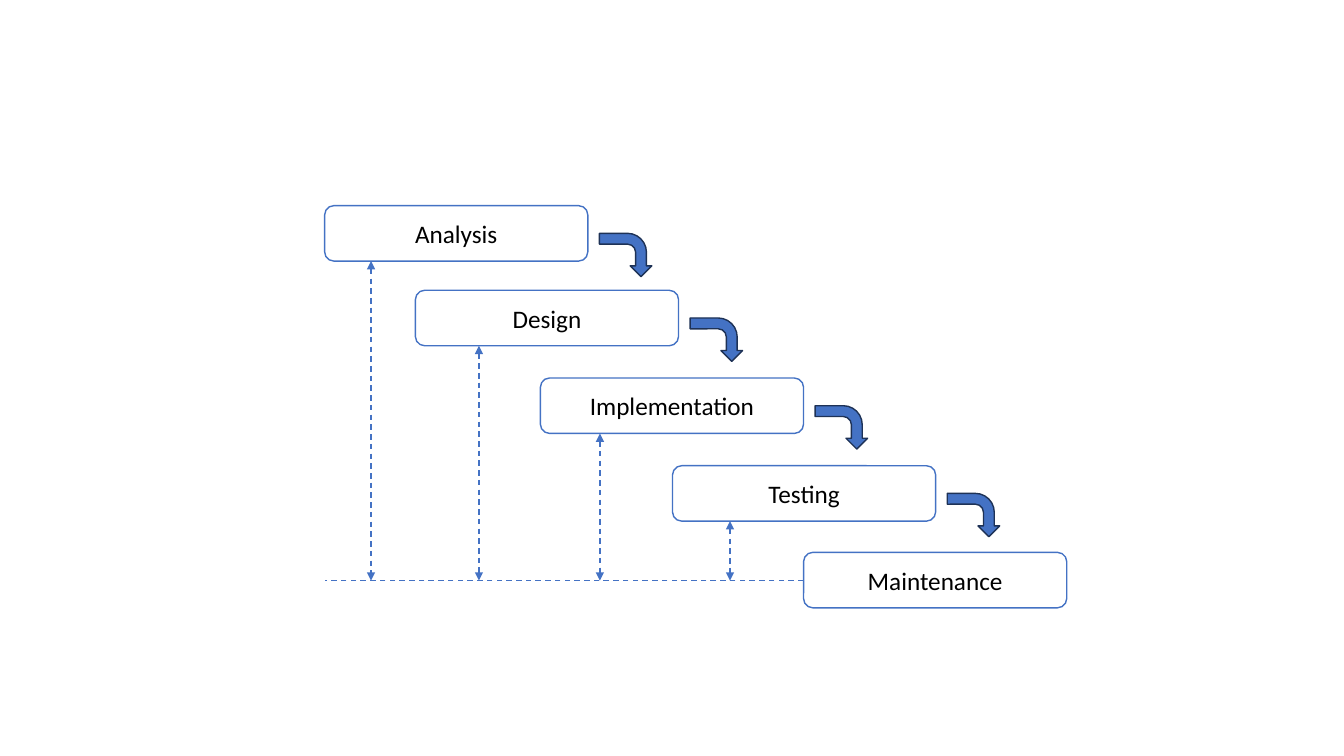
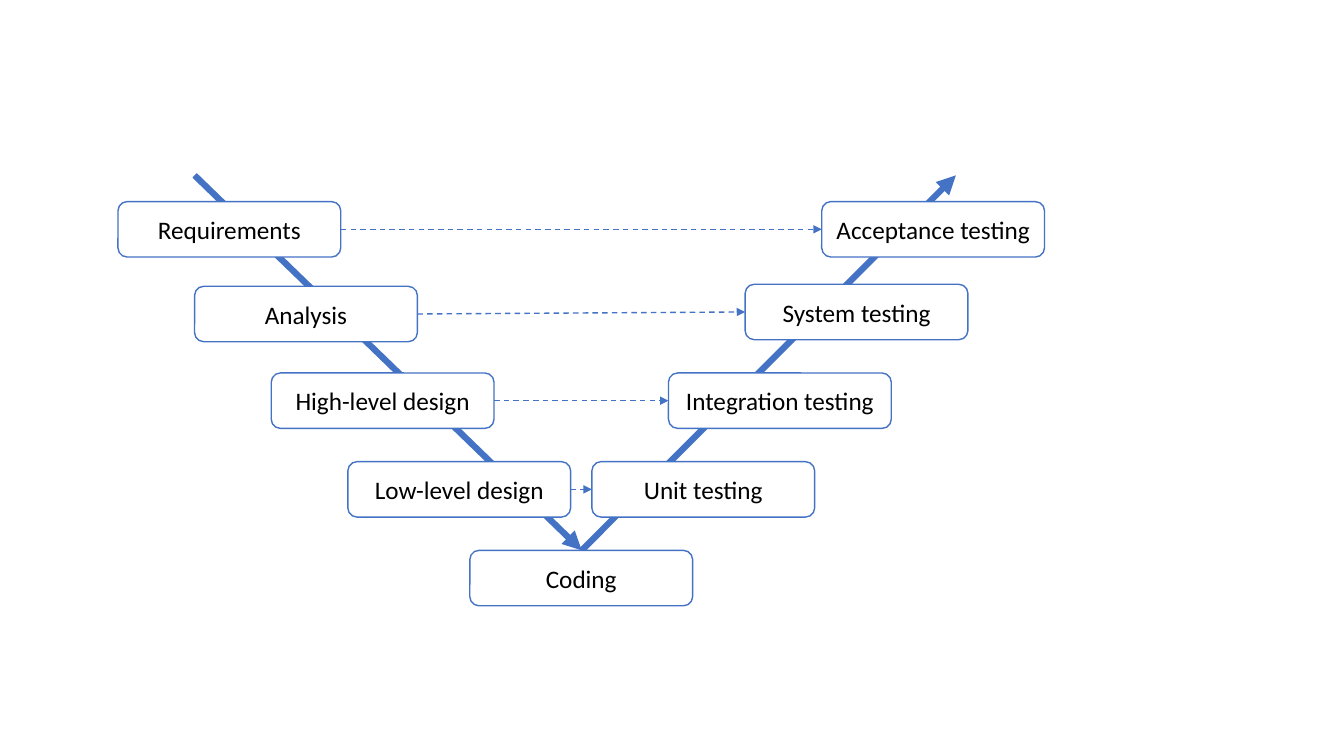
from dataclasses import dataclass

from lxml.etree import SubElement
from pptx import Presentation
from pptx.dml.color import RGBColor
from pptx.enum.dml import MSO_LINE_DASH_STYLE as DASH
from pptx.enum.shapes import MSO_CONNECTOR as CONNECTOR, MSO_SHAPE as SHAPE
from pptx.enum.text import MSO_ANCHOR as ANCHOR, PP_ALIGN as ALIGN
from pptx.oxml.ns import qn
from pptx.shapes.autoshape import Shape
from pptx.shapes.connector import Connector
from pptx.slide import Slide
from pptx.util import Inches, Pt

# Shared style
COLORS = {"accent": "4472C4", "edge": "1E3256", "box": "FFFFFF", "text": "000000"}
FONT = "Calibri"
BOX_H = 0.55
LEFT_SITE, RIGHT_SITE = 1, 3


@dataclass
class Box:
    text: str
    x: float
    y: float
    w: float


def color(name: str) -> RGBColor:
    return RGBColor.from_string(COLORS[name])


def add_shape(slide: Slide, kind: SHAPE, x: float, y: float, w: float, h: float,
              fill: str, line: str) -> Shape:
    sp = slide.shapes.add_shape(kind, Inches(x), Inches(y), Inches(w), Inches(h))
    sp.shadow.inherit = False
    sp.fill.solid()
    sp.fill.fore_color.rgb = color(fill)
    sp.line.color.rgb = color(line)
    sp.line.width = Pt(1)
    return sp


def add_box(slide: Slide, box: Box) -> Shape:
    sp = add_shape(slide, SHAPE.ROUNDED_RECTANGLE, box.x, box.y, box.w, BOX_H,
                   "box", "accent")
    tf = sp.text_frame
    tf.word_wrap = True
    tf.vertical_anchor = ANCHOR.MIDDLE
    p = tf.paragraphs[0]
    p.text = box.text
    p.alignment = ALIGN.CENTER
    font = p.runs[0].font
    font.name = FONT
    font.size = Pt(18)
    font.color.rgb = color("text")
    return sp


def add_line(slide: Slide, x1: float, y1: float, x2: float, y2: float,
             width: float = 1, dashed: bool = True,
             head: bool = False, tail: bool = False) -> Connector:
    line = slide.shapes.add_connector(CONNECTOR.STRAIGHT, Inches(x1), Inches(y1),
                                      Inches(x2), Inches(y2))
    line.line.color.rgb = color("accent")
    line.line.width = Pt(width)
    if dashed:
        line.line.dash_style = DASH.DASH
    ln = line.line._get_or_add_ln()
    for tag, wanted in (("a:headEnd", head), ("a:tailEnd", tail)):
        if wanted:
            SubElement(ln, qn(tag), type="triangle")
    SubElement(line._element.spPr, qn("a:effectLst"))
    return line


def add_waterfall(slide: Slide) -> None:
    w = 2.61
    phases = [
        Box("Analysis", 3.22, 2.04, w),
        Box("Design", 4.12, 2.88, w),
        Box("Implementation", 5.36, 3.75, w),
        Box("Testing", 6.67, 4.62, w),
        Box("Maintenance", 7.97, 5.48, w),
    ]
    for box in phases:
        add_box(slide, box)

    # Steps down to the next phase
    for box in phases[:-1]:
        arrow = add_shape(slide, SHAPE.BENT_ARROW, box.x + 2.77, box.y + 0.23,
                          0.43, 0.52, "accent", "edge")
        arrow.rotation = 90

    # Feedback from maintenance
    first, last = phases[0], phases[-1]
    base_y = 5.76
    add_line(slide, last.x, base_y, first.x, base_y)
    for box, x in zip(phases, (3.68, 4.75, 5.95, 7.24)):
        add_line(slide, x, box.y + BOX_H, x, base_y, head=True, tail=True)


def add_v_model(slide: Slide) -> None:
    w, step = 2.21, 0.76
    levels = [
        ("Requirements", 2.0, "Acceptance testing", 2.0),
        ("Analysis", 2.84, "System testing", 2.82),
        ("High-level design", 3.7, "Integration testing", 3.7),
        ("Low-level design", 4.58, "Unit testing", 4.58),
    ]
    coding = Box("Coding", 4.66, 5.46, w)

    # The two strokes of the V lie behind the boxes
    top_y, tip_x = 1.74, 5.77
    add_line(slide, tip_x, coding.y, 9.48, top_y, 4.5, dashed=False, tail=True)
    add_line(slide, 1.93, top_y, tip_x, coding.y, 4.5, dashed=False, tail=True)

    # Each development phase points to its test phase
    for i, (phase, phase_y, test, test_y) in enumerate(levels):
        left = add_box(slide, Box(phase, 1.17 + i * step, phase_y, w))
        right = add_box(slide, Box(test, 8.15 - i * step, test_y, w))
        link = add_line(slide, 0, 0, 0, 0, tail=True)
        link.begin_connect(left, RIGHT_SITE)
        link.end_connect(right, LEFT_SITE)
    add_box(slide, coding)


def main() -> None:
    prs = Presentation()
    prs.slide_width, prs.slide_height = Inches(13.33), Inches(7.5)
    blank = prs.slide_layouts[6]
    for draw in (add_waterfall, add_v_model):
        draw(prs.slides.add_slide(blank))
    prs.save("out.pptx")


if __name__ == "__main__":
    main()
